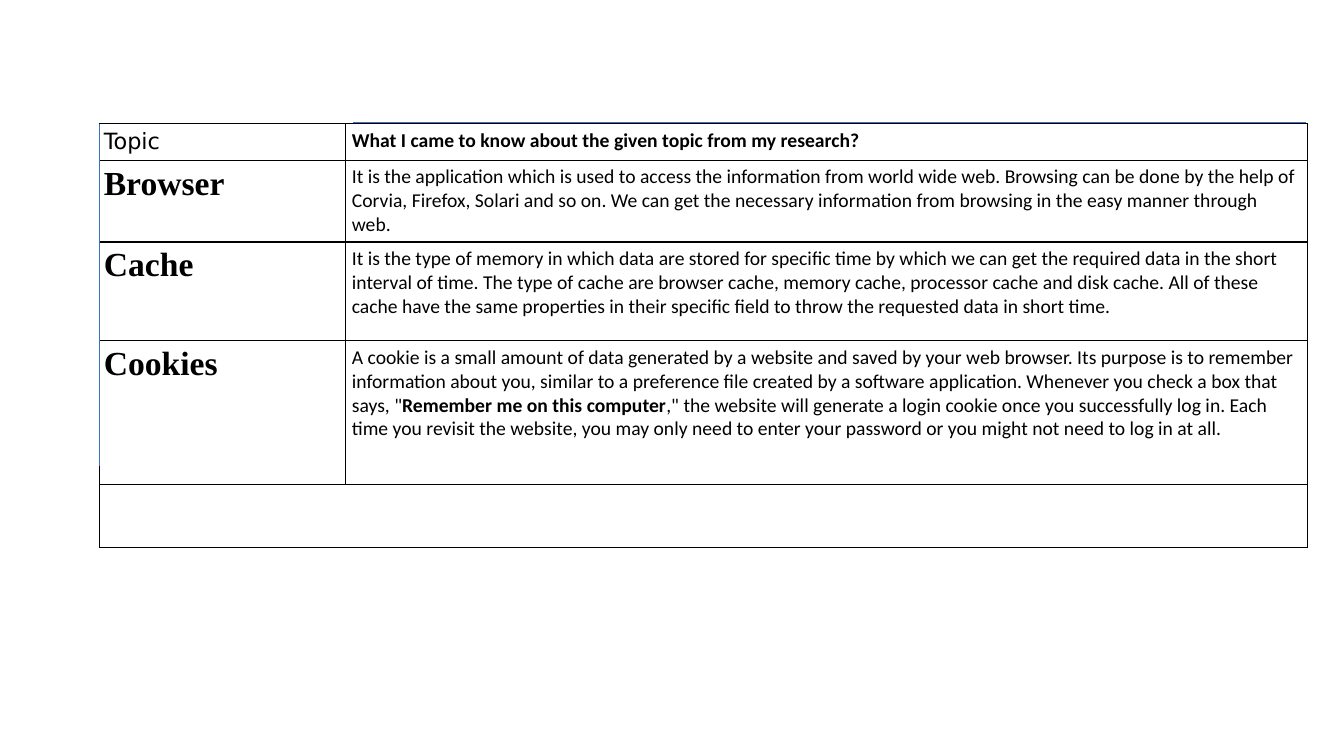
import pptx
import pptx.dml.color
import pptx.enum.shapes
import pptx.oxml
import pptx.oxml.ns
import pptx.util
from lxml import etree

Inches = pptx.util.Inches
Pt = pptx.util.Pt
COLORS = {"ink": "000000", "accent": "3F6FC3"}
THIN, THICK = 0.79, 0.96
HEADER = ("Topic", [("What I came to know about the given topic from my research?", True)])
TOPICS = [
    ("Browser", [("It is the application which is used to access the information from world wide web. "
                  "Browsing can be done by the help of Corvia, Firefox, Solari and so on. We can get the "
                  "necessary information from browsing in the easy manner through web.", False)]),
    ("Cache", [("It is the type of memory in which data are stored for specific time by which we can get "
                "the required data in the short interval of time. The type of cache are browser cache, "
                "memory cache, processor cache and disk cache. All of these cache have the same properties "
                "in their specific field to throw the requested data in short time.", False)]),
    ("Cookies", [("A cookie is a small amount of data generated by a website and saved by your web browser. "
                  "Its purpose is to remember information about you, similar to a preference file created "
                  "by a software application. Whenever you check a box that says, \"", False),
                 ("Remember me on this computer", True),
                 (",\" the website will generate a login cookie once you successfully log in. Each time you "
                  "revisit the website, you may only need to enter your password or you might not need to "
                  "log in at all.", False)]),
]


class ResearchSlide:
    """Builds the elements of one slide in a shared style."""

    def __init__(self, slide):
        self.slide = slide

    def color(self, name):
        return pptx.dml.color.RGBColor.from_string(COLORS[name])

    def table(self, left, top, widths, heights):
        frame = self.slide.shapes.add_table(len(heights), len(widths), Inches(left), Inches(top),
                                            Inches(sum(widths)), Inches(sum(heights)))
        grid = frame.table
        grid.first_row = grid.horz_banding = False
        for column, width in zip(grid.columns, widths):
            column.width = Inches(width)
        for row, height in zip(grid.rows, heights):
            row.height = Inches(height)
        return grid

    def borders(self, cell, top=THIN, bottom=THIN):
        properties = cell._tc.get_or_add_tcPr()
        for side, width in (("L", THIN), ("R", THIN), ("T", top), ("B", bottom)):
            properties.append(pptx.oxml.parse_xml(
                f'<a:ln{side} {pptx.oxml.ns.nsdecls("a")} w="{Pt(width)}"><a:solidFill>'
                f'<a:srgbClr val="{COLORS["ink"]}"/></a:solidFill></a:ln{side}>'))
        cell.fill.background()

    def text(self, cell, runs, font, size, inset):
        cell.margin_left = cell.margin_right = Inches(inset)
        cell.margin_top = cell.margin_bottom = Inches(0.05)
        paragraph = cell.text_frame.paragraphs[0]
        paragraph.font.name = font
        paragraph.font.size = Pt(size)
        paragraph.font.color.rgb = self.color("ink")
        if len(runs) == 1:
            paragraph.font.bold = runs[0][1]
        for words, bold in runs:
            run = paragraph.add_run()
            run.text = words
            if len(runs) > 1:
                run.font.bold = bold

    def line(self, start, end):
        connector = self.slide.shapes.add_connector(
            pptx.enum.shapes.MSO_CONNECTOR.STRAIGHT, *map(Inches, start + end))
        connector.line.color.rgb = self.color("accent")
        connector.line.width = Pt(0.75)
        etree.SubElement(connector._element.spPr, pptx.oxml.ns.qn("a:effectLst"))


def main():
    deck = pptx.Presentation()
    deck.slide_width, deck.slide_height = Inches(13.33), Inches(7.5)
    page = ResearchSlide(deck.slides.add_slide(deck.slide_layouts[6]))

    research = page.table(0.99, 1.23, [2.44, 9.54], [0.36, 0.81, 0.98, 1.43, 0.62])
    for index, (topic, findings) in enumerate([HEADER] + TOPICS):
        topic_cell, findings_cell = research.cell(index, 0), research.cell(index, 1)
        for cell in (topic_cell, findings_cell):
            page.borders(cell, top=THICK if topic == "Cache" else THIN,
                         bottom=THICK if topic == "Browser" else THIN)
        is_header = index == 0
        page.text(topic_cell, [(topic, not is_header)],
                  "DejaVu Sans" if is_header else "Times New Roman", 16 if is_header else 24, 0.04)
        page.text(findings_cell, findings, "Calibri", 14, 0.06)

    last_row = len(TOPICS) + 1
    footer = research.cell(last_row, 0)
    footer.merge(research.cell(last_row, 1))
    page.borders(footer)

    page.line((3.5, 1.22), (12.95, 1.22))
    page.line((0.99, 1.23), (0.99, 4.62))
    deck.save("out.pptx")


if __name__ == "__main__":
    main()
